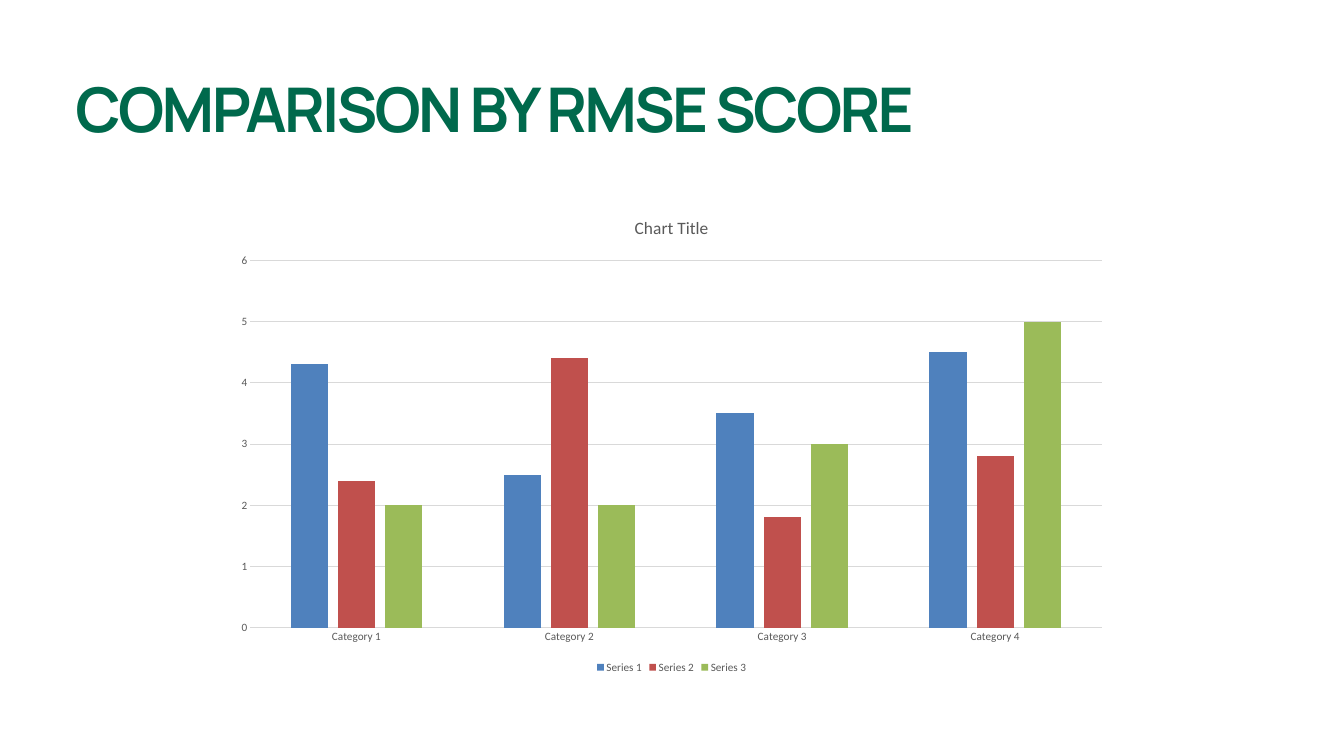
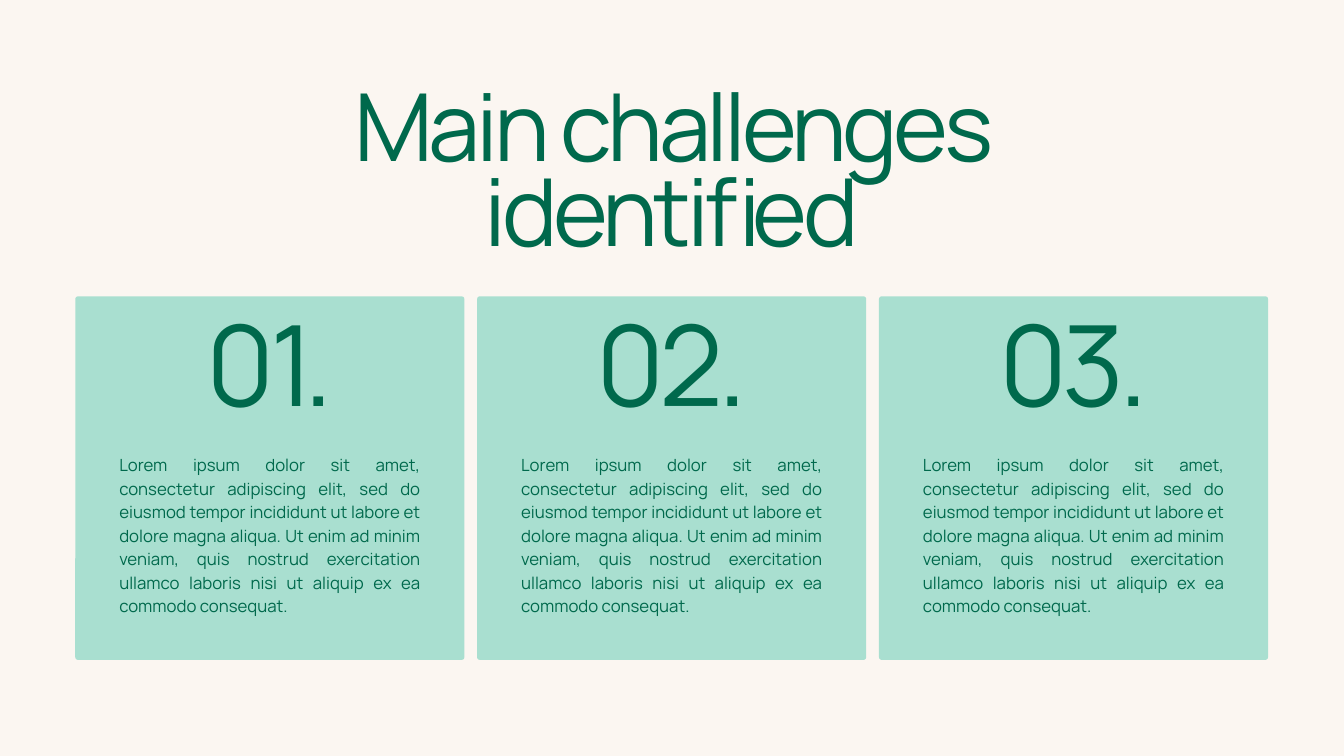
from pptx import Presentation
from pptx.chart.data import CategoryChartData
from pptx.dml.color import RGBColor
from pptx.enum.chart import XL_CHART_TYPE, XL_LEGEND_POSITION, XL_TICK_MARK
from pptx.enum.shapes import MSO_SHAPE
from pptx.enum.text import PP_ALIGN
from pptx.util import Inches, Pt

COLUMNS = XL_CHART_TYPE.COLUMN_CLUSTERED
LEGEND_BOTTOM = XL_LEGEND_POSITION.BOTTOM
NO_TICKS = XL_TICK_MARK.NONE
ROUNDED = MSO_SHAPE.ROUNDED_RECTANGLE
LEFT, CENTER, JUSTIFY = PP_ALIGN.LEFT, PP_ALIGN.CENTER, PP_ALIGN.JUSTIFY

GREEN = RGBColor(0x00, 0x69, 0x4C)
MINT = RGBColor(0xA9, 0xDF, 0xD0)
CREAM = RGBColor(0xFB, 0xF6, 0xF1)
WHITE = RGBColor(0xFF, 0xFF, 0xFF)
CHART_GRAY = RGBColor(0x59, 0x59, 0x59)
GRID_GRAY = RGBColor(0xD9, 0xD9, 0xD9)
BLUE = RGBColor(0x4F, 0x81, 0xBD)
RED = RGBColor(0xC0, 0x50, 0x4D)
OLIVE = RGBColor(0x9B, 0xBB, 0x59)
TEXT_FONT = "Manrope"
CHART_FONT = "Calibri"

SCORE_TITLE = "COMPARISON BY RMSE SCORE"
CHART_TITLE = "Chart Title"
CATEGORIES = ["Category 1", "Category 2", "Category 3", "Category 4"]
SERIES = [
    ("Series 1", (4.3, 2.5, 3.5, 4.5), BLUE),
    ("Series 2", (2.4, 4.4, 1.8, 2.8), RED),
    ("Series 3", (2, 2, 3, 5), OLIVE),
]

CHALLENGES_TITLE = "Main challenges identified"
LOREM = (
    "Lorem ipsum dolor sit amet, consectetur adipiscing elit, sed do eiusmod "
    "tempor incididunt ut labore et dolore magna aliqua. Ut enim ad minim veniam, "
    "quis nostrud exercitation ullamco laboris nisi ut aliquip ex ea commodo consequat."
)
CHALLENGES = [("01.", LOREM), ("02.", LOREM), ("03.", LOREM)]

CARD_LEFT, CARD_TOP, CARD_WIDTH, CARD_HEIGHT = 1.12, 4.41, 5.79, 5.41
CARD_STEP = 5.98
CARD_RADIUS = 0.04
NUMBER_WIDTH, BODY_WIDTH = 2.65, 4.48


def add_page(deck, background):
    page = deck.slides.add_slide(deck.slide_layouts[6])
    page.background.fill.solid()
    page.background.fill.fore_color.rgb = background
    return page


def add_text(page, text, place, size, align=LEFT, line=None, tracking=0, bold=False):
    """Add green text; line and tracking are in points."""
    box = page.shapes.add_textbox(*map(Inches, place))
    frame = box.text_frame
    frame.word_wrap = True
    frame.margin_left = frame.margin_right = 0
    frame.margin_top = frame.margin_bottom = 0
    para = frame.paragraphs[0]
    para.alignment = align
    if line:
        para.line_spacing = Pt(line)
    span = para.add_run()
    span.text = text
    span.font.name = TEXT_FONT
    span.font.size = Pt(size)
    span.font.bold = bold
    span.font.color.rgb = GREEN
    if tracking:
        span._r.get_or_add_rPr().set("spc", str(round(tracking * 100)))


def style_chart_font(font, size):
    font.name = CHART_FONT
    font.size = Pt(size)
    font.bold = False
    font.color.rgb = CHART_GRAY


def style_line(line):
    line.color.rgb = GRID_GRAY
    line.width = Pt(0.75)


def add_score_chart(page):
    data = CategoryChartData()
    data.categories = CATEGORIES
    for name, values, _ in SERIES:
        data.add_series(name, values)
    place = map(Inches, (3.33, 2.96, 13.33, 7.11))
    chart = page.shapes.add_chart(COLUMNS, *place, data).chart
    style_chart_font(chart.font, 10)

    chart.has_title = True
    title = chart.chart_title
    title.include_in_layout = False
    span = title.text_frame.paragraphs[0].add_run()
    span.text = CHART_TITLE
    style_chart_font(span.font, 18.6)

    chart.has_legend = True
    chart.legend.position = LEGEND_BOTTOM
    chart.legend.include_in_layout = False
    style_chart_font(chart.legend.font, 12)

    for axis in (chart.category_axis, chart.value_axis):
        axis.major_tick_mark = axis.minor_tick_mark = NO_TICKS
        style_chart_font(axis.tick_labels.font, 12)
    style_line(chart.category_axis.format.line)
    values_axis = chart.value_axis
    values_axis.minimum_scale, values_axis.maximum_scale = 0, 6
    values_axis.major_unit = 1
    values_axis.format.line.fill.background()
    style_line(values_axis.major_gridlines.format.line)

    plot = chart.plots[0]
    plot.vary_by_categories = False
    plot.gap_width, plot.overlap = 219, -27
    for series, (_, _, color) in zip(plot.series, SERIES):
        series.format.fill.solid()
        series.format.fill.fore_color.rgb = color


def add_card(page, left, number, body):
    place = map(Inches, (left, CARD_TOP, CARD_WIDTH, CARD_HEIGHT))
    card = page.shapes.add_shape(ROUNDED, *place)
    card.adjustments[0] = CARD_RADIUS / CARD_HEIGHT
    card.shadow.inherit = False
    card.fill.solid()
    card.fill.fore_color.rgb = MINT
    card.line.fill.background()

    middle = left + CARD_WIDTH / 2
    add_text(page, number, (middle - NUMBER_WIDTH / 2, 4.89, NUMBER_WIDTH, 1.64),
             120, CENTER, line=108, tracking=-5.5)
    add_text(page, body, (middle - BODY_WIDTH / 2, 6.72, BODY_WIDTH, 2.41),
             18, JUSTIFY, line=25.2)


def main():
    deck = Presentation()
    deck.slide_width, deck.slide_height = Inches(20), Inches(11.25)

    score_page = add_page(deck, WHITE)
    add_text(score_page, SCORE_TITLE, (1.12, 1.05, 16.75, 1.11), 66,
             tracking=-2.8, bold=True)
    add_score_chart(score_page)

    challenge_page = add_page(deck, CREAM)
    add_text(challenge_page, CHALLENGES_TITLE, (2.42, 1.43, 15.15, 2.62), 100.4,
             CENTER, line=90.4, tracking=-4.6)
    for index, (number, body) in enumerate(CHALLENGES):
        add_card(challenge_page, CARD_LEFT + index * CARD_STEP, number, body)

    deck.save("out.pptx")


if __name__ == "__main__":
    main()
